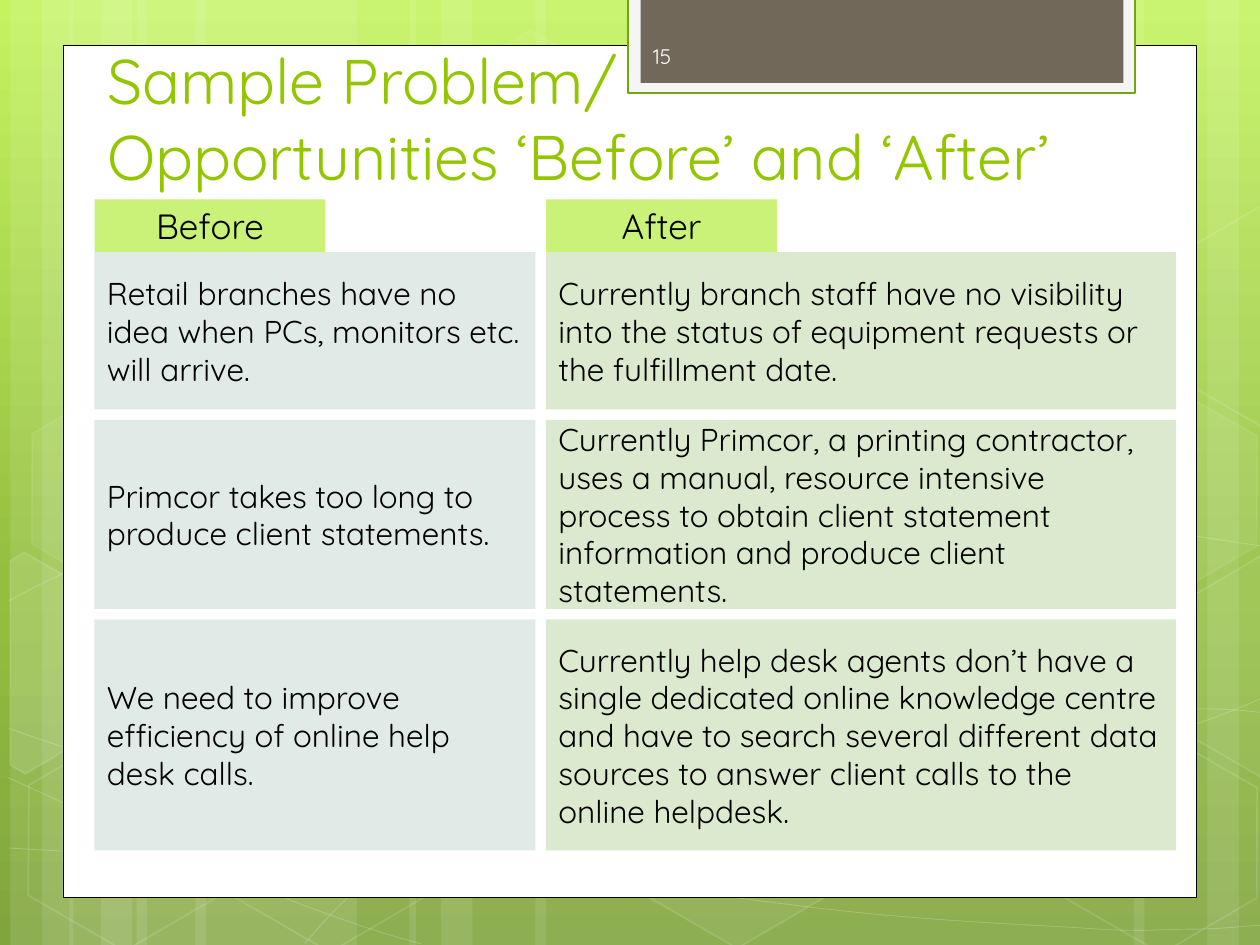
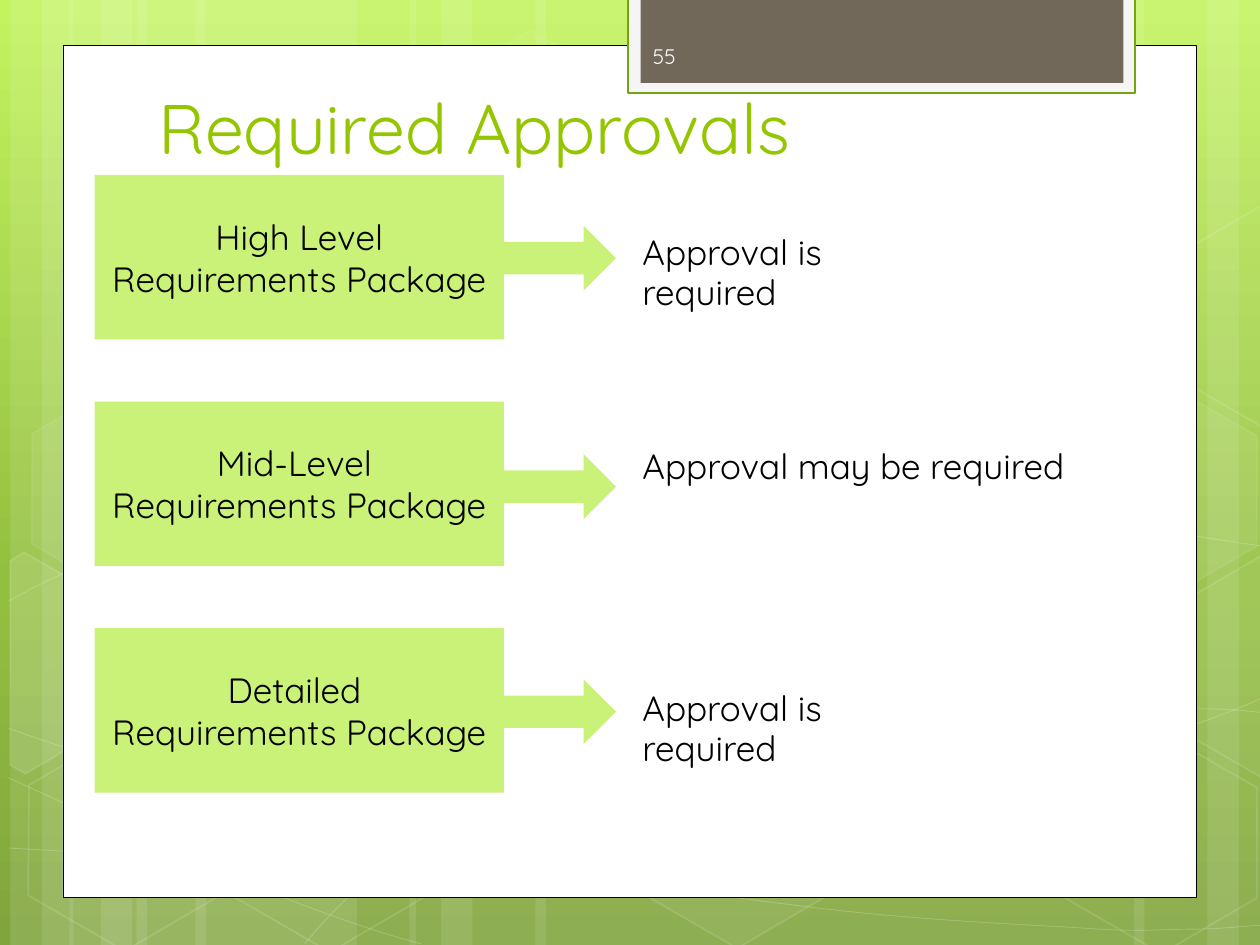
"""Build two green business analysis slides."""
from copy import deepcopy
from math import cos, radians, sin

from lxml.etree import SubElement
from pptx import Presentation
from pptx.dml.color import RGBColor
from pptx.enum.shapes import MSO_SHAPE
from pptx.enum.text import MSO_ANCHOR, PP_ALIGN
from pptx.oxml.ns import qn
from pptx.util import Pt

FONT = "Quicksand"
WHITE, BLACK = "FFFFFF", "000000"
LIME, GREEN, EDGE = "CAF278", "94C600", "74A510"
MIST, SAGE = "E0EBE7", "DBEACE"
PANEL, BROWN, PALE = "F5F5F5", "71685A", "FEFEFE"
SKY = [(0, "C3F35F"), (0.62, "93BF3F"), (1, "81A53E")]
TILT = 30

TRIO = [(78, 126), (6, 36), (24, 60)]
BANDS = TRIO + [(x + 33.6, w) for x, w in TRIO] + [
    (528, 126), (690, 36), (648, 60), (306, 222), (234, 36), (252, 60)]
CURVES = [
    [(5, 484.6), (44, 487), (83, 489), (137, 488), (191, 487), (258, 486),
     (330, 479), (402, 472), (504, 458), (570, 444), (636, 431), (703, 409),
     (725, 396.7)],
    [(5, 343.4), (26, 332), (47, 321), (87, 310), (128, 300), (186, 284),
     (250, 279), (314, 274), (392, 273), (471, 279), (550, 284), (682, 307),
     (725, 312.5)],
    [(4.3, 444.2), (91, 484), (178, 523), (240.5, 539.3)],
    [(5, 416.2), (27, 424), (50, 432), (92, 443.5), (134, 454), (197, 472),
     (257, 484.6), (317, 497), (392, 510), (452, 517), (512, 525), (576, 528),
     (614, 530), (652, 533), (662, 531), (680, 531), (698, 531), (712, 529),
     (725, 528.5)],
    [(174.2, 539.3), (187, 524), (200, 510), (217, 498), (235, 485),
     (259, 470), (279, 460), (300, 450), (312, 446), (338, 438), (364, 431),
     (413, 421), (438, 416), (464, 411), (467, 411), (490, 410), (512, 408),
     (547, 405), (572, 405), (597, 404), (638, 405), (638, 405), (654, 405),
     (670, 405), (686, 405), (699, 405), (711, 406), (724, 407.5)],
]
HEXES = [
    (240.5, 26, 4, 8), (358, 424, 6, 12), (8, 425.5, None, 12),
    (10, 224.6, 7, 8), (125.3, 426.2, None, 12), (542, 326.2, 10, 12),
    (600.5, 427, None, 12), (600.5, 226, 7, 8),
]
WEDGES = [
    ((26, 385.2), [(5.8, 320.4), (13.7, 315.4), (69, 347), (68.4, 410.4),
                   (14.4, 442), (5.8, 437)], 10),
    ((709.2, 374.4), [(666.7, 349.2), (720.7, 317.5), (726.5, 321.1),
                      (726.5, 441.4), (721.4, 444.2), (666.7, 412.6)], 4),
    ((709.2, 173.5), [(666.7, 149), (720.7, 117.4), (727.2, 121),
                      (726.5, 241.2), (721.4, 244), (666.7, 212.4)], None),
]
ROWS = [
    (90, "Retail branches have no idea when PCs, monitors etc. will arrive.",
     "Currently branch staff have no visibility into the status of equipment "
     "requests or the fulfillment date."),
    (108, "Primcor takes too long to produce client statements.",
     "Currently Primcor, a printing contractor, uses a manual, resource "
     "intensive process to obtain client statement information and produce "
     "client statements."),
    (132, "We need to improve efficiency of online help desk calls.",
     "Currently help desk agents don’t have a single dedicated online "
     "knowledge centre and have to search several different data sources to "
     "answer client calls to the online helpdesk."),
]
STEPS = [
    ("High Level Requirements Package", 129, "Approval is required",
     130, 194.4),
    ("Mid-Level \nRequirements Package", 259.6, "Approval may be required",
     252, 306),
    ("Detailed \nRequirements Package", 388.2, "Approval is required",
     390.5, 194.4),
]


def tint(code):
    """Turn a hex string into a colour."""
    return RGBColor.from_string(code)


def fade(node, rate):
    """Make the solid colour in an XML node partly clear."""
    mark = SubElement(node.find(".//" + qn("a:srgbClr")), qn("a:alpha"))
    mark.set("val", str(rate * 1000))


def paint(shape, fill=None, line=None, width=1, clear=None, thin=None):
    """Set fill and line, with opacity in percent where given."""
    shape.shadow.inherit = False
    if fill:
        shape.fill.solid()
        shape.fill.fore_color.rgb = tint(fill)
    else:
        shape.fill.background()
    if line:
        shape.line.color.rgb = tint(line)
        shape.line.width = Pt(width)
    else:
        shape.line.fill.background()
    props = shape.element.spPr
    if clear:
        fade(props.find(qn("a:solidFill")), clear)
    if thin:
        fade(props.find(qn("a:ln")), thin)
    return shape


def block(slide, box, fill=None, kind=MSO_SHAPE.RECTANGLE, **style):
    """Add a preset shape."""
    shape = slide.shapes.add_shape(kind, *map(Pt, box))
    return paint(shape, fill, **style)


def trace(slide, dots, close=False, **style):
    """Add an outline through points."""
    spots = [(Pt(x), Pt(y)) for x, y in dots]
    pen = slide.shapes.build_freeform(*spots[0])
    pen.add_line_segments(spots[1:], close=close)
    return paint(pen.convert_to_shape(), **style)


def curve(slide, knots, **style):
    """Add joined cubic curves, three points to each."""
    shape = trace(slide, knots, **style)
    legs = shape.element.findall(".//" + qn("a:lnTo"))
    route = legs[0].getparent()
    for i in range(0, len(legs), 3):
        bow = SubElement(route, qn("a:cubicBezTo"))
        for leg in legs[i:i + 3]:
            bow.append(leg[0])
            route.remove(leg)


def wedge(slide, mid, dots, clear):
    """Add a cut hexagon, drawn upright and then turned."""
    c, s = cos(radians(TILT)), sin(radians(TILT))
    flat = []
    for x, y in dots:
        dx, dy = x - mid[0], y - mid[1]
        flat.append((mid[0] + dx * c + dy * s, mid[1] - dx * s + dy * c))
    shape = trace(slide, flat, True, fill=WHITE if clear else None,
                  line=WHITE, clear=clear, thin=12)
    shape.rotation = TILT


def write(shape, text, size, color=BLACK, align=PP_ALIGN.LEFT,
          anchor=MSO_ANCHOR.MIDDLE, space=0, pitch=None):
    """Put one paragraph into a shape."""
    frame = shape.text_frame
    frame.word_wrap = True
    frame.vertical_anchor = anchor
    para = frame.paragraphs[0]
    para.text = text
    para.alignment = align
    para.space_before = para.space_after = Pt(space)
    if pitch:
        para.line_spacing = pitch
    para.font.name = FONT
    para.font.size = Pt(size)
    para.font.color.rgb = tint(color)


def label(slide, box, text, size, **style):
    """Add a text box."""
    write(slide.shapes.add_textbox(*map(Pt, box)), text, size, **style)


def shade(slide):
    """Fill the background with the green blend."""
    fill = slide.background.fill
    fill.gradient()
    fill.gradient_angle = 270
    stops = slide.element.find(".//" + qn("a:gsLst"))
    stops.append(deepcopy(stops[-1]))
    for stop, (place, code) in zip(fill.gradient_stops, SKY):
        stop.position = place
        stop.color.rgb = tint(code)


def adorn(slide):
    """Draw the clear bands, curves and hexagons."""
    for x, w in BANDS:
        block(slide, (x, 0, w, 540), WHITE, clear=10)
    for knots in CURVES:
        curve(slide, knots, line=WHITE, width=0.5, thin=20)
    for i, (x, y, clear, thin) in enumerate(HEXES):
        if i == 2:
            wedge(slide, *WEDGES[0])
        cell = block(slide, (x, y, 126, 109.4), WHITE if clear else None,
                     MSO_SHAPE.HEXAGON, line=WHITE, clear=clear, thin=thin)
        cell.adjustments[0] = 0.285
        cell.rotation = TILT
    for part in WEDGES[1:]:
        wedge(slide, *part)


def start(deck, title, box, size, number):
    """Add a slide with the shared frame, title and number."""
    slide = deck.slides.add_slide(deck.slide_layouts[6])
    shade(slide)
    adorn(slide)
    block(slide, (36, 25.9, 648, 487), WHITE, line=BLACK, width=0.5)
    block(slide, (359, -1.4, 289.6, 54.6), PANEL, line=EDGE, width=1.25)
    block(slide, (366, -1.4, 276, 48.8), BROWN)
    label(slide, box, title, size, color=GREEN, anchor=MSO_ANCHOR.BOTTOM)
    label(slide, (366, 17.8, 105, 28.8), number, 12, color=PALE)
    return slide


def compare(slide):
    """Draw the before and after columns."""
    columns = [("Before", 54, 252, MIST, 6), ("After", 312, 360, SAGE, 0)]
    for i, (head, x, w, fill, space) in enumerate(columns):
        write(block(slide, (x, 114, 132, 30), LIME), head, 20,
              align=PP_ALIGN.CENTER)
        y = 144
        for h, *texts in ROWS:
            write(block(slide, (x, y, w, h), fill), texts[i], 18, space=space)
            y += h + 6


def approve(slide):
    """Draw each package with its arrow and approval."""
    for i, (name, tip, note, top, w) in enumerate(STEPS):
        write(block(slide, (54, 100 + i * 129.5, 234, 94), LIME), name, 20,
              align=PP_ALIGN.CENTER)
        block(slide, (287.5, tip, 64.5, 37), LIME, MSO_SHAPE.RIGHT_ARROW)
        label(slide, (360, top, w, 30), note, 20, anchor=MSO_ANCHOR.TOP,
              pitch=0.95)


def main():
    """Build and save the deck."""
    deck = Presentation()
    deck.slide_width, deck.slide_height = Pt(720), Pt(540)
    compare(start(deck, "Sample Problem/\nOpportunities ‘Before’ and ‘After’",
                  (54.2, 23.8, 618, 90), 36, "15"))
    approve(start(deck, "Required Approvals", (83.5, 10, 553, 90), 40, "55"))
    deck.save("out.pptx")


if __name__ == "__main__":
    main()
